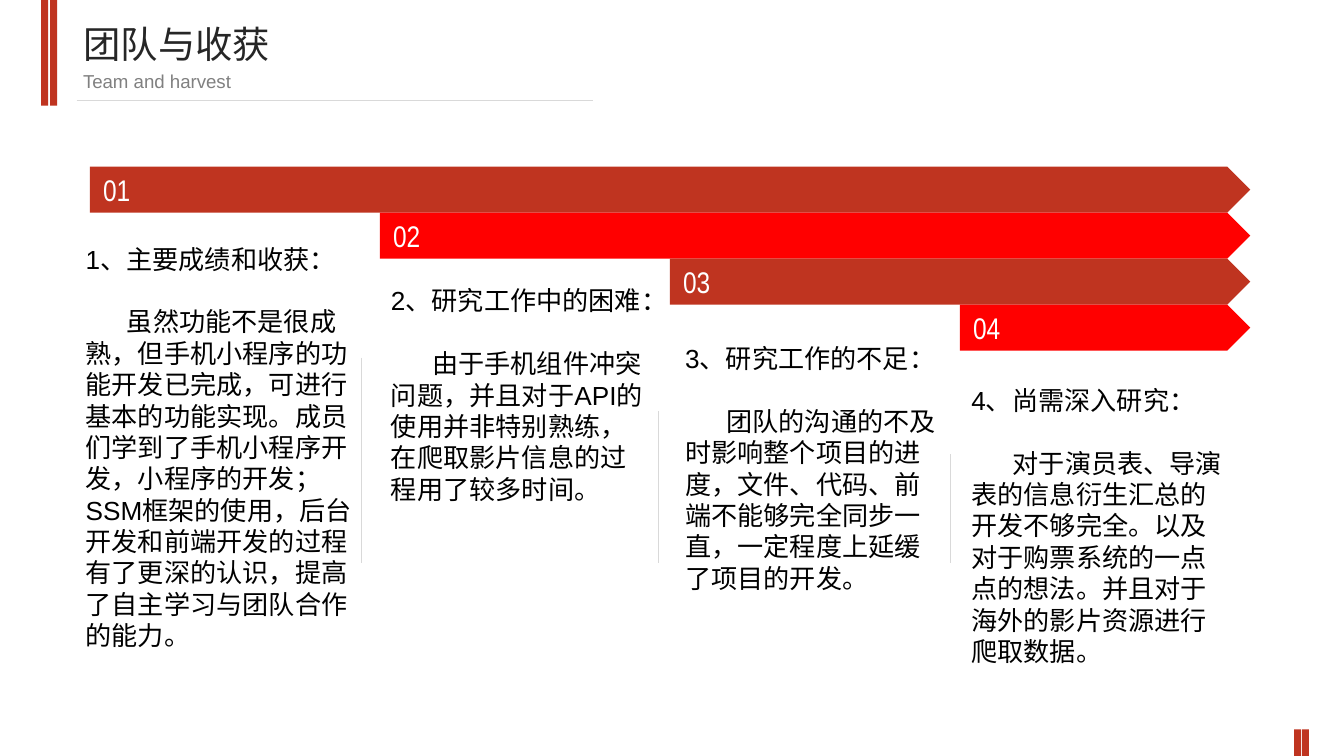
"""Build the team and harvest slide with four stepped arrows and columns."""
from lxml.etree import SubElement
from pptx import Presentation
from pptx.dml.color import RGBColor
from pptx.enum.shapes import MSO_CONNECTOR, MSO_SHAPE
from pptx.enum.text import MSO_ANCHOR, MSO_AUTO_SIZE, PP_ALIGN
from pptx.oxml.ns import qn
from pptx.util import Cm, Pt

BRICK, RED, GREY = "BF3420", "FF0000", "D9D9D9"
TITLE, SUBTITLE = "团队与收获", "Team and harvest"
COLUMNS = [
    ("1、主要成绩和收获：",
     "虽然功能不是很成熟，但手机小程序的功能开发已完成，可进行基本的功能实现。"
     "成员们学到了手机小程序开发，小程序的开发；SSM框架的使用，后台开发和前端开发的"
     "过程有了更深的认识，提高了自主学习与团队合作的能力。",
     (1.37, 4.47, 5.64, 8.03)),
    ("2、研究工作中的困难：",
     "由于手机组件冲突问题，并且对于API的使用并非特别熟练，"
     "在爬取影片信息的过程用了较多时间。",
     (7.14, 5.26, 5.26, 5.05)),
    ("3、研究工作的不足：",
     "团队的沟通的不及时影响整个项目的进度，文件、代码、前端不能够完全同步一直，"
     "一定程度上延缓了项目的开发。",
     (12.7, 6.35, 5.26, 5.05)),
    ("4、尚需深入研究：",
     "对于演员表、导演表的信息衍生汇总的开发不够完全。以及对于购票系统的一点点的想法。"
     "并且对于海外的影片资源进行爬取数据。",
     (18.11, 7.14, 5.26, 5.64)),
]
BARS = [(0.78, 0, 2), (0.95, 0, 2), (24.46, 13.79, 0.5), (24.61, 13.79, 0.5)]
DIVIDERS = [(6.83, 6.76), (12.45, 7.77), (17.96, 8.59)]
DIVIDER_END = 10.64
ARROW_LEFT, ARROW_TOP, ARROW_RIGHT = 1.7, 3.15, 23.63
STEP_X, STEP_Y = 5.48, 0.87


def color(value):
    return RGBColor.from_string(value)


def write(p, text, size=14, font="Arial", fill="000000", before=0, indent=0):
    p.alignment = PP_ALIGN.LEFT
    p.space_before = Pt(before)
    if indent:
        p._p.get_or_add_pPr().set("indent", str(Cm(indent)))
    r = p.add_run()
    r.text = text
    r.font.size, r.font.name = Pt(size), font
    r.font.color.rgb = color(fill)


def add_block(s, kind, box, fill):
    sp = s.shapes.add_shape(kind, *map(Cm, box))
    sp.shadow.inherit = False
    sp.fill.solid()
    sp.fill.fore_color.rgb = color(fill)
    sp.line.fill.background()
    return sp


def add_text(s, box):
    sp = s.shapes.add_textbox(*map(Cm, box))
    sp.text_frame.word_wrap = True
    return sp.text_frame


def add_line(s, *ends):
    sp = s.shapes.add_connector(MSO_CONNECTOR.STRAIGHT, *map(Cm, ends))
    sp.line.color.rgb = color(GREY)
    sp.line.width = Pt(0.75)
    SubElement(sp._element.spPr, qn("a:effectLst"))


def add_heading(s):
    sp = s.shapes.title
    sp.left, sp.top, sp.width, sp.height = map(Cm, (1.32, 0.28, 10.74, 1.12))
    tf = sp.text_frame
    tf.auto_size = MSO_AUTO_SIZE.NONE
    tf.vertical_anchor = MSO_ANCHOR.TOP
    write(tf.paragraphs[0], TITLE, size=20, font="Arial Narrow", fill="262626")
    tf = add_text(s, (1.32, 1.19, 10.74, 0.69))
    write(tf.paragraphs[0], SUBTITLE, size=10, fill="808080")
    add_line(s, 1.45, 1.9, 11.2, 1.9)


def add_arrow(s, i):
    left = ARROW_LEFT + i * STEP_X
    box = (left, ARROW_TOP + i * STEP_Y, ARROW_RIGHT - left, STEP_Y)
    tf = add_block(s, MSO_SHAPE.PENTAGON, box, (BRICK, RED)[i % 2]).text_frame
    tf.vertical_anchor = MSO_ANCHOR.MIDDLE
    write(tf.paragraphs[0], f"{i + 1:02}", size=16, font="Arial Narrow", fill="FFFFFF")


def main():
    prs = Presentation()
    prs.slide_width, prs.slide_height = Cm(25.4), Cm(14.29)
    s = prs.slides.add_slide(prs.slide_layouts[5])
    for left, top, height in BARS:
        add_block(s, MSO_SHAPE.RECTANGLE, (left, top, 0.13, height), BRICK)
    add_heading(s)
    for i, (head, body, box) in enumerate(COLUMNS):
        add_arrow(s, i)
        tf = add_text(s, box)
        write(tf.paragraphs[0], head)
        write(tf.add_paragraph(), body, before=16.8, indent=0.78)
    for x, top in DIVIDERS:
        add_line(s, x, top, x, DIVIDER_END)
    prs.save("out.pptx")


if __name__ == "__main__":
    main()
